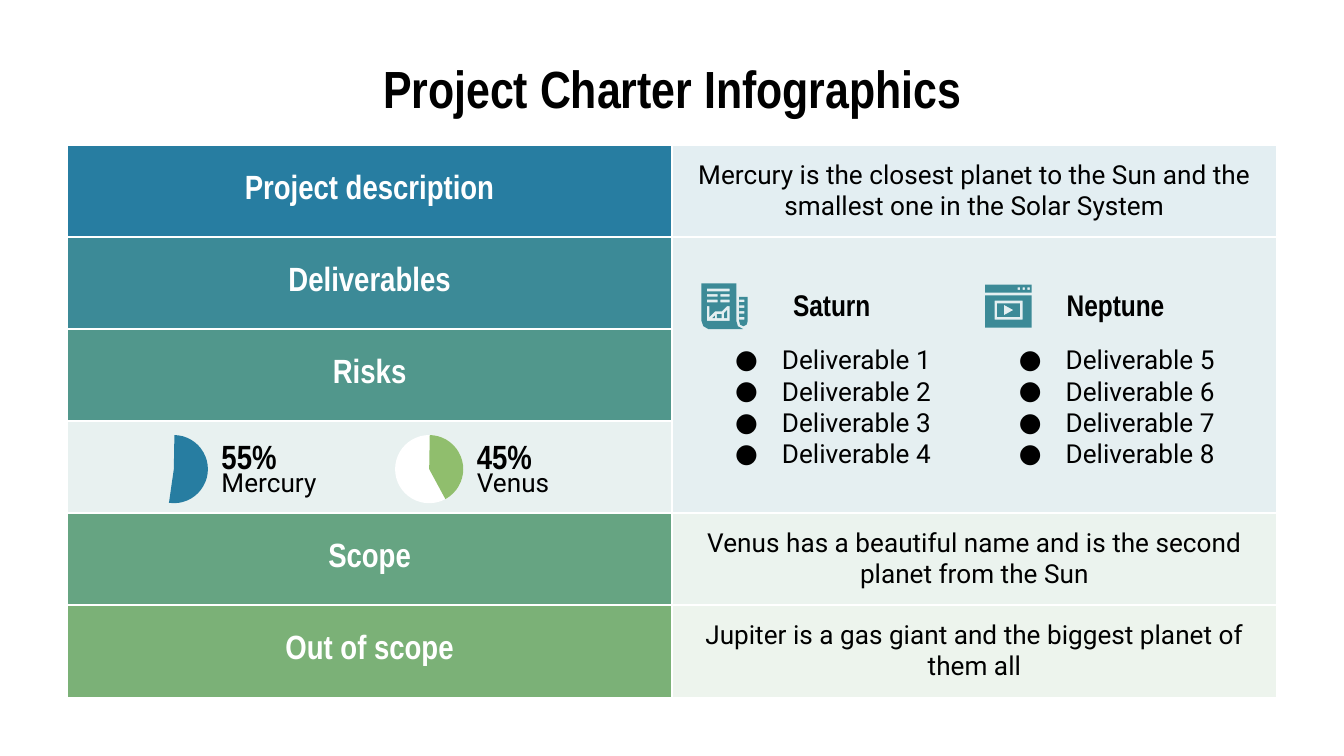
from pptx import Presentation
from pptx.dml.color import RGBColor
from pptx.enum.shapes import MSO_SHAPE as Kind
from pptx.enum.text import MSO_ANCHOR as Anchor, PP_ALIGN as Align
from pptx.oxml import parse_xml
from pptx.oxml.ns import nsdecls
from pptx.util import Pt

HEAD, BODY = "Arial Narrow", "Roboto"
BLACK, WHITE, BLUE, TEAL, LIME = "000000", "FFFFFF", "277DA1", "3C8A97", "90BE6D"
hue = RGBColor.from_string
NS = nsdecls("a")


def write(frame, text, size, font, color=BLACK, align=Align.CENTER):
    frame.text = text
    for para in frame.paragraphs:
        para.alignment = align
        for run in para.runs:
            run.font.size = Pt(size)
            run.font.name = font
            run.font.bold = font == HEAD
            run.font.color.rgb = hue(color)


def box(left, top, right, low):
    return [(left, top), (right, top), (right, low), (left, low)]


deck = Presentation()
deck.slide_width, deck.slide_height = Pt(720), Pt(405)
slide = deck.slides.add_slide(deck.slide_layouts[6])
shapes = slide.shapes

# Charter table: label, label colour, note
rows = [
    ("Project description", BLUE,
     "Mercury is the closest planet to the Sun and the smallest one in the Solar System"),
    ("Deliverables", TEAL, ""),
    ("Risks", "51978C", ""),
    ("", "51978C", ""),
    ("Scope", "66A482", "Venus has a beautiful name and is the second planet from the Sun"),
    ("Out of scope", "7BB177", "Jupiter is a gas giant and the biggest planet of them all"),
]
table = shapes.add_table(6, 2, Pt(36), Pt(77.7), Pt(648), Pt(295.8)).table
table.first_row = table.horz_banding = False
for col in table.columns:
    col.width = Pt(324)
for i, (label, color, note) in enumerate(rows):
    table.rows[i].height = Pt(49.3)
    for j, text in enumerate((label, note)):
        cell = table.cell(i, j)
        cell.vertical_anchor = Anchor.MIDDLE
        cell.margin_left = cell.margin_right = Pt(7.2)
        cell.margin_top = cell.margin_bottom = Pt(7.2)
        if text:
            look = (14, BODY) if j else (18, HEAD, WHITE)
            write(cell.text_frame, text, *look)
        cell.fill.solid()
        cell.fill.fore_color.rgb = hue(color)
        props = cell._tc.get_or_add_tcPr()
        if j or not text:
            tint = props.find(".//{*}srgbClr")
            tint.append(parse_xml(f'<a:alpha {NS} val="13000"/>'))
        for k, side in enumerate("LRTB"):
            props.insert(k, parse_xml(
                f'<a:ln{side} {NS} w="9525"><a:solidFill><a:srgbClr val="{WHITE}"/>'
                f'</a:solidFill></a:ln{side}>'))
table.cell(1, 1).merge(table.cell(3, 1))

# Risk pies: shape, left, colour, end angle in degrees
for kind, left, color, end in (
    (Kind.PIE, 74.9, BLUE, 98.17),
    (Kind.OVAL, 211.7, WHITE, None),
    (Kind.PIE, 211.7, LIME, 61.57),
):
    pie = shapes.add_shape(kind, Pt(left), Pt(233.1), Pt(36.5), Pt(36.5))
    if end:
        pie.adjustments[0] = 271.02 * 0.6
        pie.adjustments[1] = end * 0.6
    pie.shadow.inherit = False
    pie.fill.solid()
    pie.fill.fore_color.rgb = hue(color)
    pie.line.fill.background()

# Text boxes: left, top, width, height, text, size, font, alignment
notes = [(36, 32.4, 648, 29.5, "Project Charter Infographics", 28, HEAD, Align.CENTER)]
for left, rate, name in ((111.6, "55%", "Mercury"), (248.4, "45%", "Venus")):
    notes += [(left, 236.9, 81.4, 14.4, rate, 18, HEAD, Align.LEFT),
              (left, 251.3, 81.4, 14.4, name, 14, BODY, Align.LEFT)]
for left, name, first in ((375.8, "Saturn", 1), (527.8, "Neptune", 5)):
    items = "\n".join(f"Deliverable {n}" for n in range(first, first + 4))
    notes += [(left, 148.3, 139.7, 30.2, name, 16, HEAD, Align.CENTER),
              (left, 179.3, 139.7, 77, items, 14, BODY, Align.LEFT)]
for left, top, width, height, text, size, font, align in notes:
    frame = shapes.add_textbox(Pt(left), Pt(top), Pt(width), Pt(height)).text_frame
    frame.word_wrap = True
    frame.vertical_anchor = Anchor.MIDDLE
    frame.margin_left = frame.margin_right = Pt(7.2)
    frame.margin_top = frame.margin_bottom = Pt(7.2)
    write(frame, text, size, font, BLACK, align)
    if "\n" in text:
        for para in frame.paragraphs:
            props = para._p.get_or_add_pPr()
            props.set("marL", str(Pt(36)))
            props.set("indent", str(Pt(-25)))
            for tag in (f'<a:buClr {NS}><a:srgbClr val="{BLACK}"/></a:buClr>',
                        f'<a:buFont {NS} typeface="{BODY}"/>',
                        f'<a:buChar {NS} char="●"/>'):
                props.append(parse_xml(tag))

# Icons: outlines in points from the icon corner, inner outlines cut holes
page = [
    [(0, 0), (18.7, 0), (18.7, 20.2), (19.5, 23), (22.3, 24.5),
     (3.6, 24.5), (1, 23), (0, 20.2)],
    box(2.9, 2.9, 15.1, 4.3),
    [(2.9, 12.2), (4.3, 12.2), (4.3, 18), (7.2, 15.1), (10.8, 15.1),
     (13.7, 12.2), (15.1, 12.2), (15.1, 20.2), (2.9, 20.2)],
    [(5.8, 18.7), (7.2, 17.3), (7.2, 18.7)],
    box(8.3, 16.6, 10.8, 18.7),
    [(12.2, 15.9), (13.7, 14.4), (13.7, 18.7), (12.2, 18.7)],
]
for top in (5.8, 8.8):
    page += [box(2.9, top, 8.6, top + 1.4), box(10.1, top, 15.1, top + 1.4)]
roll = [[(20.2, 7.2), (24.8, 7.2), (24.8, 20.2), (24.2, 22.2), (22.5, 23),
         (20.8, 22.2), (20.2, 20.2)]]
roll += [box(20.2, 8.7 + 3.1 * n, 23, 10.1 + 3.1 * n) for n in range(4)]
tabs = [box(0, 0, 24.8, 4.3)]
tabs += [box(x, 1.5, x + 1.3, 2.8) for x in (17.4, 20, 22.6)]
video = [box(0, 5.8, 24.8, 23), box(5, 8.6, 20, 18.7), box(6.4, 10, 18.6, 17.3),
         [(10, 10.8), (15.1, 13.6), (10, 16.4)]]
for left, top, paths in ((375.8, 151.8, page), (375.8, 151.8, roll),
                         (527.8, 152.5, tabs), (527.8, 152.5, video)):
    pen = None
    for path in paths:
        dots = [(Pt(left + x), Pt(top + y)) for x, y in path]
        if pen:
            pen.move_to(*dots[0])
        else:
            pen = shapes.build_freeform(*dots[0])
        pen.add_line_segments(dots[1:], close=True)
    icon = pen.convert_to_shape()
    icon.shadow.inherit = False
    icon.fill.solid()
    icon.fill.fore_color.rgb = hue(TEAL)
    icon.line.fill.background()

deck.save("out.pptx")
